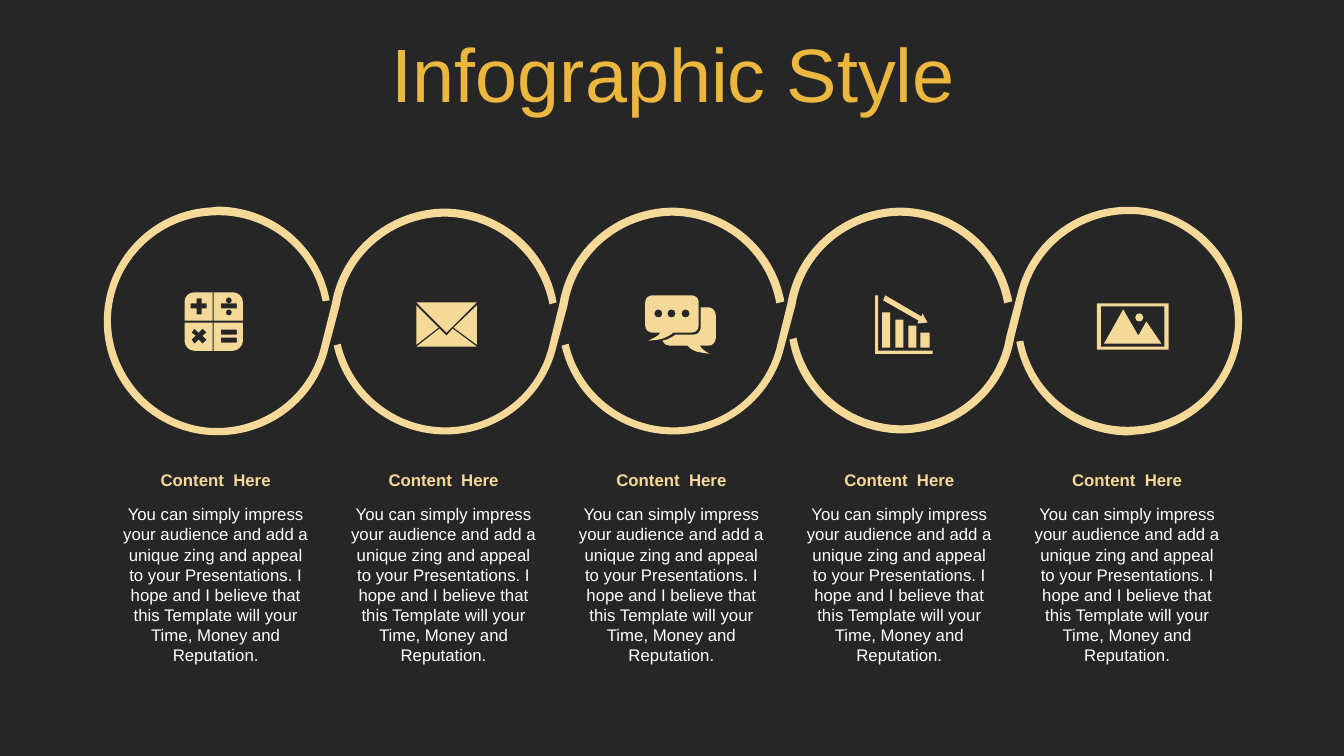
from pptx import Presentation
from pptx.dml.color import RGBColor
from pptx.enum.text import MSO_ANCHOR, PP_ALIGN
from pptx.oxml.ns import qn
from pptx.util import Inches, Pt

CENTER = PP_ALIGN.CENTER
TOP, MIDDLE = MSO_ANCHOR.TOP, MSO_ANCHOR.MIDDLE
COLUMNS = 5
COLUMN_STEP = 2.26
HEADING = "Content  Here"
BODY = (
    "You can simply impress your audience and add a unique zing and appeal "
    "to your Presentations. I hope and I believe that this Template will your "
    "Time, Money and Reputation."
)

END_RING = """M 2.17 2.05 C 2.71 2.06 3.17 2.44 3.27 2.98 L 3.2 2.99
C 3.1 2.46 2.61 2.09 2.07 2.14 C 1.53 2.18 1.11 2.63 1.1 3.17
C 1.1 3.71 1.5 4.17 2.03 4.24 C 2.57 4.3 3.07 3.95 3.19 3.42 L 3.29 3.02
C 3.38 2.48 3.85 2.08 4.4 2.07 C 4.95 2.07 5.43 2.46 5.52 3 L 5.45 3.02
C 5.35 2.51 4.91 2.15 4.4 2.15 C 3.89 2.16 3.45 2.53 3.37 3.03 L 3.26 3.45
C 3.13 4.01 2.6 4.38 2.02 4.31 C 1.45 4.24 1.02 3.75 1.03 3.17
C 1.04 2.59 1.48 2.11 2.06 2.06 C 2.1 2.06 2.14 2.05 2.17 2.05"""
MIDDLE_RING = """M 6.66 2.06 C 7.21 2.06 7.68 2.45 7.78 2.99 L 7.7 3.01
C 7.61 2.5 7.17 2.14 6.66 2.14 C 6.15 2.15 5.71 2.52 5.63 3.03 L 5.52 3.44
C 5.4 3.95 4.94 4.31 4.42 4.31 C 3.89 4.31 3.43 3.95 3.31 3.43 L 3.38 3.41
C 3.49 3.89 3.92 4.24 4.42 4.24 C 4.91 4.24 5.34 3.9 5.45 3.42 L 5.55 3.01
C 5.64 2.47 6.11 2.07 6.66 2.06"""
CALCULATOR = """R 2.19 3.35 2.35 3.4 R 2.19 3.27 2.35 3.32
M 1.93 3.26 L 1.9 3.3 L 1.94 3.33 L 1.9 3.37 L 1.93 3.41 L 1.97 3.37
L 2.01 3.41 L 2.05 3.37 L 2.01 3.33 L 2.05 3.3 L 2.01 3.26 L 1.97 3.3
M 2.12 3.2 L 2.41 3.2 L 2.41 3.38 C 2.41 3.43 2.36 3.48 2.31 3.48 L 2.12 3.48
M 1.83 3.2 L 2.11 3.2 L 2.11 3.48 L 1.93 3.48 C 1.87 3.48 1.83 3.43 1.83 3.38
O 2.27 3.1 0.03 R 2.19 3.01 2.35 3.06 O 2.27 2.98 0.03
M 1.95 2.96 L 1.95 3.01 L 1.89 3.01 L 1.89 3.06 L 1.95 3.06 L 1.95 3.12
L 2 3.12 L 2 3.06 L 2.05 3.06 L 2.05 3.01 L 2 3.01 L 2 2.96
M 1.93 2.9 L 2.11 2.9 L 2.11 3.18 L 1.83 3.18 L 1.83 3
C 1.83 2.94 1.87 2.9 1.93 2.9
M 2.12 2.9 L 2.31 2.9 C 2.36 2.9 2.41 2.94 2.41 3 L 2.41 3.18 L 2.12 3.18"""
ENVELOPE = """M 4.49 3.26 L 4.73 3.44 L 4.13 3.44 L 4.36 3.26 L 4.43 3.33
M 4.73 3.03 L 4.73 3.42 L 4.5 3.25 M 4.13 3.03 L 4.35 3.25 L 4.13 3.42
M 4.13 3 L 4.73 3 L 4.43 3.3"""
CHAT = """O 6.8 3.11 0.04 O 6.66 3.11 0.04 O 6.53 3.11 0.04
M 6.95 3.05 L 7.03 3.05 C 7.07 3.05 7.1 3.09 7.1 3.13 L 7.1 3.35
C 7.1 3.39 7.07 3.43 7.03 3.43 L 6.94 3.43 C 6.96 3.45 6.96 3.47 7.04 3.51
C 6.9 3.49 6.88 3.49 6.82 3.43 L 6.64 3.43 C 6.61 3.43 6.58 3.41 6.57 3.38
C 6.62 3.37 6.66 3.35 6.7 3.32 L 6.88 3.32 C 6.92 3.32 6.95 3.29 6.95 3.25
M 6.47 2.93 L 6.86 2.93 C 6.9 2.93 6.93 2.96 6.93 3 L 6.93 3.23
C 6.93 3.27 6.9 3.3 6.86 3.3 L 6.68 3.3 C 6.6 3.36 6.56 3.37 6.43 3.38
C 6.51 3.34 6.52 3.34 6.55 3.3 L 6.47 3.3 C 6.43 3.3 6.4 3.27 6.4 3.23
L 6.4 3 C 6.4 2.96 6.43 2.93 6.47 2.93"""
FALLING_BARS = """R 9.13 3.3 9.22 3.45 R 9.01 3.23 9.09 3.45
R 8.88 3.17 8.96 3.45 R 8.75 3.1 8.83 3.45
M 8.78 2.93 L 9.14 3.14 L 9.15 3.11 L 9.2 3.2 L 9.1 3.21 L 9.11 3.18 L 8.76 2.98
M 8.68 2.93 L 8.71 2.93 L 8.71 3.48 L 9.25 3.48 L 9.25 3.51 L 8.68 3.51"""
LANDSCAPE = """O 11.3 3.15 0.04
M 11.14 3.07 L 11.29 3.33 L 11.37 3.19 L 11.52 3.41 L 10.95 3.41
R 10.92 3.04 11.55 3.44 R 10.88 3.01 11.59 3.47"""


def color(value):
    return RGBColor.from_string(value)


def circle(x, y, radius):
    left, right, pull = x - radius, x + radius, radius * 4 / 3
    upper = [(left, y - pull), (right, y - pull), (right, y)]
    lower = [(right, y + pull), (left, y + pull), (left, y)]
    return [("M", (left, y))] + [("C", point) for point in upper + lower]


def contours(drawing):
    sizes = {"M": 2, "L": 2, "C": 6, "R": 4, "O": 3}
    tokens = iter(drawing.split())
    found = []
    for command in tokens:
        numbers = [float(next(tokens)) for _ in range(sizes[command])]
        if command == "R":
            left, top, right, bottom = numbers
            corners = [(left, top), (right, top), (right, bottom), (left, bottom)]
            found.append([("L", corner) for corner in corners])
        elif command == "O":
            found.append(circle(*numbers))
        else:
            if command == "M":
                found.append([])
            found[-1].extend((command, pair) for pair in zip(numbers[::2], numbers[1::2]))
    return found


class Infographic:
    font = "Arial"
    background = "262626"
    gold = "ECB73E"
    sand = "F5D999"
    white = "FFFFFF"

    def __init__(self, deck):
        self.page = deck.slides.add_slide(deck.slide_layouts[6])
        fill = self.page.background.fill
        fill.solid()
        fill.fore_color.rgb = color(self.background)

    def text(self, words, left, top, width, height, size, tint, bold=False, anchor=TOP, spacing=1.0):
        box = self.page.shapes.add_textbox(Inches(left), Inches(top), Inches(width), Inches(height))
        frame = box.text_frame
        frame.word_wrap = True
        frame.vertical_anchor = anchor
        frame.text = words
        para = frame.paragraphs[0]
        para.alignment = CENTER
        para.line_spacing = spacing
        span = para.runs[0]
        span.font.name = self.font
        span.font.size = Pt(size)
        span.font.bold = bold
        span.font.color.rgb = color(tint)

    def outline(self, drawing, shift=0, turned=False):
        def place(point):
            x, y = point
            if turned:
                x, y = 13.35 - x, 6.37 - y
            return Inches(x + shift), Inches(y)

        builder = None
        kinds = []
        for contour in contours(drawing):
            start, *rest = [place(point) for _, point in contour]
            kinds.extend(kind for kind, _ in contour[1:])
            if builder is None:
                builder = self.page.shapes.build_freeform(*start)
            else:
                builder.move_to(*start)
            builder.add_line_segments(rest, close=True)
        shape = builder.convert_to_shape()
        self.bend(shape, kinds)
        shape.shadow.inherit = False
        shape.fill.solid()
        shape.fill.fore_color.rgb = color(self.sand)
        shape.line.fill.background()

    def bend(self, shape, kinds):
        segments = shape.element.findall(".//" + qn("a:lnTo"))
        curved = [segment for segment, kind in zip(segments, kinds) if kind == "C"]
        for first, second, third in zip(curved[::3], curved[1::3], curved[2::3]):
            first.tag = qn("a:cubicBezTo")
            for segment in (second, third):
                first.append(segment[0])
                segment.getparent().remove(segment)

    def column(self, left):
        self.text(BODY, left, 4.95, 2.06, 1.72, 12, self.white)
        self.text(HEADING, left, 4.61, 2.06, 0.3, 12, self.sand, bold=True)


def main():
    deck = Presentation()
    deck.slide_width, deck.slide_height = Inches(13.33), Inches(7.5)
    slide = Infographic(deck)
    slide.text("Infographic Style", 0.35, 0.31, 12.66, 0.92, 54, slide.gold, anchor=MIDDLE, spacing=0.9)
    slide.outline(END_RING)
    slide.outline(END_RING, turned=True)
    for shift in (COLUMN_STEP, 0):
        slide.outline(MIDDLE_RING, shift)
    for index in range(COLUMNS):
        slide.column(1.11 + index * COLUMN_STEP)
    for icon in (ENVELOPE, FALLING_BARS, CALCULATOR, CHAT, LANDSCAPE):
        slide.outline(icon)
    deck.save("out.pptx")


if __name__ == "__main__":
    main()
